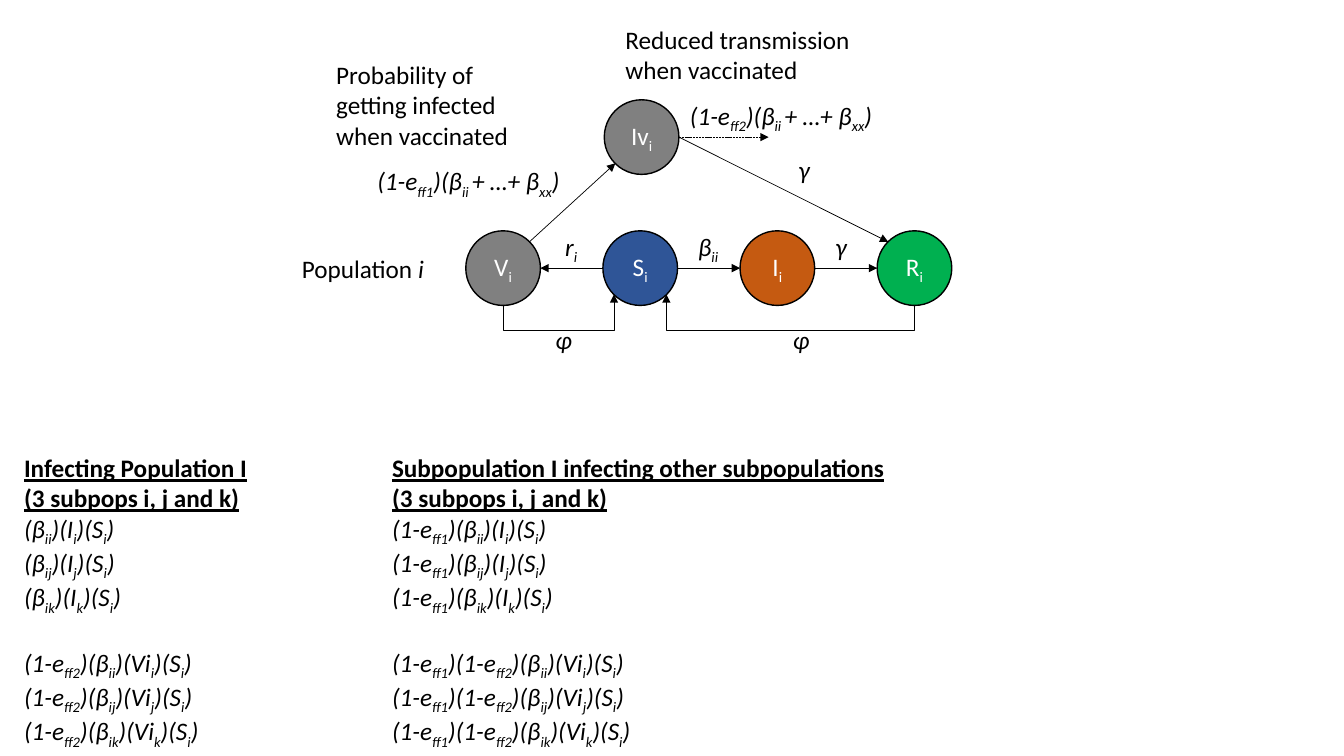
from lxml.etree import SubElement
from pptx import Presentation
from pptx.dml.color import RGBColor
from pptx.enum.dml import MSO_LINE
from pptx.enum.shapes import MSO_CONNECTOR, MSO_SHAPE
from pptx.enum.text import MSO_ANCHOR, MSO_AUTO_SIZE, PP_ALIGN
from pptx.oxml.ns import qn
from pptx.util import Inches, Pt

COLORS = {"ink": "000000", "paper": "FFFFFF", "vaccinated": "808080",
          "susceptible": "2F5597", "infected": "C55A11", "recovered": "00B050"}
RADIUS = 0.37
DIAGONAL = 0.26  # from a circle's centre to its 45 degree point, along each axis
LINE_HEIGHT = 0.3


def color(name):
    return RGBColor.from_string(COLORS[name])


def write(paragraph, text, ink="ink", bold=False, italic=False, underline=False,
          align=PP_ALIGN.LEFT, before=0, italic_tail=""):
    """Add text in which _pairs of underscores_ enclose a subscript."""
    paragraph.alignment = align
    if before:
        paragraph.space_before = Pt(before)
    pieces = [(piece, index % 2, italic) for index, piece in enumerate(text.split("_"))]
    pieces.append((italic_tail, False, True))
    for piece, is_subscript, slanted in pieces:
        if not piece:
            continue
        run = paragraph.add_run()
        run.text = piece
        font = run.font
        font.name, font.size = "Calibri", Pt(18)
        font.bold, font.italic, font.underline = bold, slanted, underline
        font.color.rgb = color(ink)
        if is_subscript:
            font._element.set("baseline", "-25000")


def add_text_frame(slide, left, top, width, lines=1, wrap=False):
    frame = slide.shapes.add_textbox(Inches(left), Inches(top), Inches(width),
                                     Inches(0.1 + LINE_HEIGHT * lines)).text_frame
    frame.word_wrap = wrap
    frame.auto_size = MSO_AUTO_SIZE.SHAPE_TO_FIT_TEXT
    return frame


def add_state(slide, center, text, fill):
    x, y = center
    circle = slide.shapes.add_shape(MSO_SHAPE.OVAL, Inches(x - RADIUS), Inches(y - RADIUS),
                                    Inches(2 * RADIUS), Inches(2 * RADIUS))
    circle.shadow.inherit = False
    circle.fill.solid()
    circle.fill.fore_color.rgb = color(fill)
    circle.line.color.rgb = color("ink")
    circle.line.width = Pt(1)
    frame = circle.text_frame
    frame.word_wrap = False
    frame.vertical_anchor = MSO_ANCHOR.MIDDLE
    write(frame.paragraphs[0], text, ink="paper", align=PP_ALIGN.CENTER)


def add_arrow(slide, start, end, kind=MSO_CONNECTOR.STRAIGHT, dashed=False):
    arrow = slide.shapes.add_connector(kind, *map(Inches, (*start, *end)))
    arrow.line.color.rgb = color("ink")
    arrow.line.width = Pt(0.5)
    if dashed:
        arrow.line.dash_style = MSO_LINE.SQUARE_DOT
    properties = arrow._element.spPr
    SubElement(properties.find(qn("a:ln")), qn("a:tailEnd"), type="triangle")
    SubElement(properties, qn("a:effectLst"))
    return arrow


def add_return_arrow(slide, start, end, drop=0.25):
    """Elbow that leaves downwards, runs across and rises into its end."""
    (x1, y1), (x2, y2) = start, end
    run, rise = abs(x2 - x1), y1 - y2
    middle_x, middle_y = (x1 + x2) / 2, (y1 + y2) / 2
    arrow = add_arrow(slide, (middle_x - rise / 2, middle_y - run / 2),
                      (middle_x + rise / 2, middle_y + run / 2), MSO_CONNECTOR.ELBOW)
    properties = arrow._element.spPr
    frame = properties.find(qn("a:xfrm"))
    frame.set("rot", "5400000")
    frame.set("flipH", "1")
    if x2 > x1:
        frame.set("flipV", "1")
    geometry = properties.find(qn("a:prstGeom"))
    guides = geometry.find(qn("a:avLst"))
    if guides is None:
        guides = SubElement(geometry, qn("a:avLst"))
    SubElement(guides, qn("a:gd"), name="adj1", fmla=f"val {round(-drop / rise * 100000)}")


def add_model(slide, left, top, width, height):
    """Compartment diagram; the box joins the centres of its outer circles."""
    def at(column, row):
        return left + column * width / 3, top + row * height

    def offset(center, dx, dy):
        return center[0] + dx, center[1] + dy

    vaccinated, susceptible, infected, recovered = (at(column, 1) for column in range(4))
    breakthrough = at(1.01, 0)
    for center, text, fill in ((susceptible, "S_i_", "susceptible"),
                               (vaccinated, "V_i_", "vaccinated"),
                               (infected, "I_i_", "infected"),
                               (recovered, "R_i_", "recovered"),
                               (breakthrough, "Iv_i_", "vaccinated")):
        add_state(slide, center, text, fill)

    for source, target, side in ((susceptible, vaccinated, -1),
                                 (susceptible, infected, 1),
                                 (infected, recovered, 1)):
        add_arrow(slide, offset(source, side * RADIUS, 0), offset(target, -side * RADIUS, 0))
    add_arrow(slide, offset(vaccinated, DIAGONAL, -DIAGONAL),
              offset(breakthrough, -DIAGONAL, DIAGONAL))
    exit_point = offset(breakthrough, RADIUS, 0)
    add_arrow(slide, exit_point, offset(exit_point, 0.89, 0), dashed=True)
    add_arrow(slide, exit_point, offset(recovered, -DIAGONAL, -DIAGONAL))
    for source, side in ((vaccinated, -1), (recovered, 1)):
        add_return_arrow(slide, offset(source, 0, RADIUS),
                         offset(susceptible, side * DIAGONAL, DIAGONAL))

    for text, column, row, label_width in (
            ("r_i_", 0.38, 0.68, 0.33), ("β_ii_", 1.35, 0.68, 0.41),
            ("γ", 2.35, 0.68, 0.31), ("γ", 2.08, 0.09, 0.31),
            ("φ", 0.31, 1.39, 0.33), ("φ", 2.04, 1.39, 0.33),
            ("(1-e_ff1_)(β_ii _+ …+ β_xx_)", -0.99, 0.18, 2.19),
            ("(1-e_ff2_)(β_ii _+ …+ β_xx_)", 1.29, -0.32, 2.17)):
        frame = add_text_frame(slide, *at(column, row), label_width)
        write(frame.paragraphs[0], text, italic=True)
    for text, column, row, note_width, lines in (
            ("Probability of getting infected when vaccinated", -1.29, -0.63, 2.02, 3),
            ("Reduced transmission when vaccinated", 0.82, -0.9, 2.62, 2)):
        frame = add_text_frame(slide, *at(column, row), note_width, lines, wrap=True)
        write(frame.paragraphs[0], text)
    population = add_text_frame(slide, *at(-1.54, 0.85), 1.43)
    write(population.paragraphs[0], "Population ", italic_tail="i")


def add_equations(slide, left, top, width, heading, factor=""):
    frame = add_text_frame(slide, left, top, width, lines=9.1)
    write(frame.paragraphs[0], heading, bold=True, underline=True)
    write(frame.add_paragraph(), "(3 subpops i, j and k)", bold=True, underline=True)
    for prefix, source, gap in ((factor, "I", 0), (factor + "(1-e_ff2_)", "Vi", 22)):
        for subpop in "ijk":
            write(frame.add_paragraph(), f"{prefix}(β_i{subpop}_)({source}_{subpop}_)(S_i_)",
                  italic=True, before=gap if subpop == "i" else 0)


def main():
    deck = Presentation()
    deck.slide_width, deck.slide_height = Inches(13.33), Inches(7.5)
    slide = deck.slides.add_slide(deck.slide_layouts[6])
    add_model(slide, 4.99, 1.36, 4.08, 1.3)
    add_equations(slide, 0.14, 4.44, 2.43, "Infecting Population I")
    add_equations(slide, 3.79, 4.44, 5.12,
                  "Subpopulation I infecting other subpopulations", "(1-e_ff1_)")
    deck.save("out.pptx")


if __name__ == "__main__":
    main()
